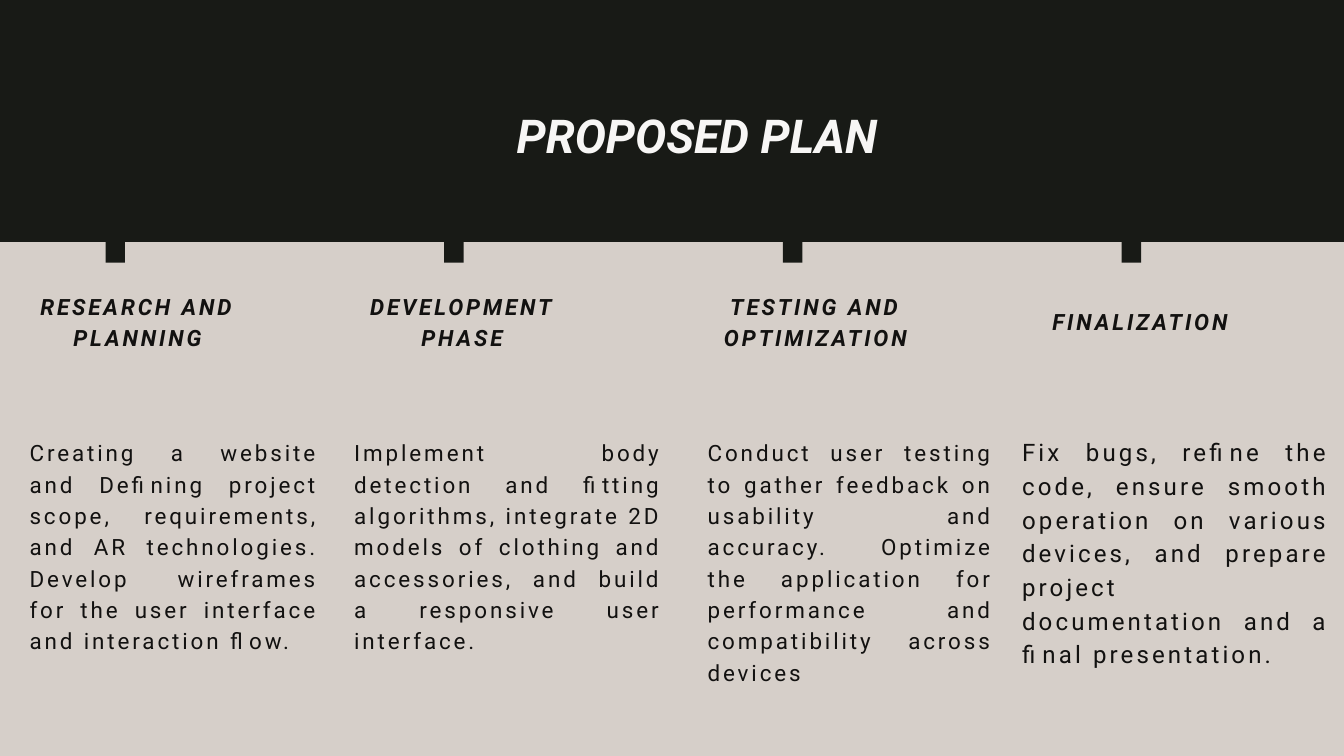
import dataclasses

import pptx
import pptx.dml.color
import pptx.enum.shapes
import pptx.enum.text
import pptx.slide
import pptx.util

ALIGN = pptx.enum.text.PP_ALIGN


@dataclasses.dataclass(frozen=True)
class Theme:
    ground: str = "D6CFC9"
    band: str = "181A16"
    light: str = "F7F6F5"
    ink: str = "121110"
    font: str = "Roboto"
    title: float = 50
    copy: float = 24
    large_copy: float = 25.8
    leading: float = 1.4
    tracking: float = 0.13


def rgb(value):
    return pptx.dml.color.RGBColor.from_string(value)


@dataclasses.dataclass
class PlanSlide:
    """Draws the plan on a grid of 20 columns by 11.25 rows, one inch each."""

    theme: Theme
    slide: pptx.slide.Slide

    def background(self):
        fill = self.slide.background.fill
        fill.solid()
        fill.fore_color.rgb = rgb(self.theme.ground)

    def block(self, *cell):
        bar = self.slide.shapes.add_shape(
            pptx.enum.shapes.MSO_SHAPE.RECTANGLE, *map(pptx.util.Inches, cell))
        bar.shadow.inherit = False
        bar.fill.solid()
        bar.fill.fore_color.rgb = rgb(self.theme.band)
        bar.line.fill.background()

    def text(self, words, cell, size, color, align, leading, tracking=0, **look):
        frame = self.slide.shapes.add_textbox(*map(pptx.util.Inches, cell)).text_frame
        layout = {"word_wrap": True, "margin_left": 0, "margin_right": 0,
                  "margin_top": 0, "margin_bottom": 0}
        for name, value in layout.items():
            setattr(frame, name, value)
        paragraph = frame.paragraphs[0]
        paragraph.alignment = align
        paragraph.line_spacing = pptx.util.Pt(leading)
        run = paragraph.add_run()
        run.text = words
        style = {"name": self.theme.font, "size": pptx.util.Pt(size), **look}
        for name, value in style.items():
            setattr(run.font, name, value)
        run.font.color.rgb = rgb(color)
        if tracking:
            run.font._element.set("spc", str(round(tracking * 100)))

    def title(self, words, cell):
        size = self.theme.title
        self.text(words, cell, size, self.theme.light, ALIGN.CENTER,
                  size * 1.2, bold=True, italic=True)

    def heading(self, words, cell):
        size = self.theme.copy
        self.text(words, cell, size, self.theme.ink, ALIGN.CENTER,
                  size * self.theme.leading, size * self.theme.tracking,
                  bold=True, italic=True)

    def body(self, words, cell, size):
        self.text(words, cell, size, self.theme.ink, ALIGN.JUSTIFY,
                  size * self.theme.leading, size * self.theme.tracking)


theme = Theme()
deck = pptx.Presentation()
deck.slide_width = pptx.util.Inches(20)
deck.slide_height = pptx.util.Inches(11.25)
plan = PlanSlide(theme, deck.slides.add_slide(deck.slide_layouts[6]))

BAND_HEIGHT = 3.6
FIRST_TAB, TAB_STEP = 1.57, 5.04
HEADING_WIDTH = 3.21
phases = [
    ("RESEARCH AND PLANNING", (0.44, 4.29, HEADING_WIDTH, 0.9),
     "Creating a website and Defining project scope, requirements, and AR "
     "technologies. Develop wireframes for the user interface and interaction flow.",
     (0.44, 6.47, 4.3, 3.31), theme.copy),
    ("DEVELOPMENT PHASE", (5.27, 4.29, HEADING_WIDTH, 0.9),
     "Implement body detection and fitting algorithms, integrate 2D models of "
     "clothing and accessories, and build a responsive user interface.",
     (5.27, 6.47, 4.58, 3.29), theme.copy),
    ("TESTING AND OPTIMIZATION", (10.53, 4.29, HEADING_WIDTH, 0.9),
     "Conduct user testing to gather feedback on usability and accuracy. Optimize "
     "the application for performance and compatibility across devices",
     (10.53, 6.47, 4.25, 3.78), theme.copy),
    ("FINALIZATION", (15.36, 4.52, HEADING_WIDTH, 0.44),
     "Fix bugs, refine the code, ensure smooth operation on various devices, and "
     "prepare project documentation and a final presentation.",
     (15.21, 6.44, 4.57, 3.49), theme.large_copy),
]

plan.background()
plan.block(0, 0, 20, BAND_HEIGHT)
plan.title("PROPOSED PLAN", (1.57, 1.59, 17.61, 0.83))
for index, (heading, heading_cell, body, body_cell, body_size) in enumerate(phases):
    plan.block(FIRST_TAB + index * TAB_STEP, BAND_HEIGHT, 0.29, 0.31)
    plan.heading(heading, heading_cell)
    plan.body(body, body_cell, body_size)

deck.save("out.pptx")
